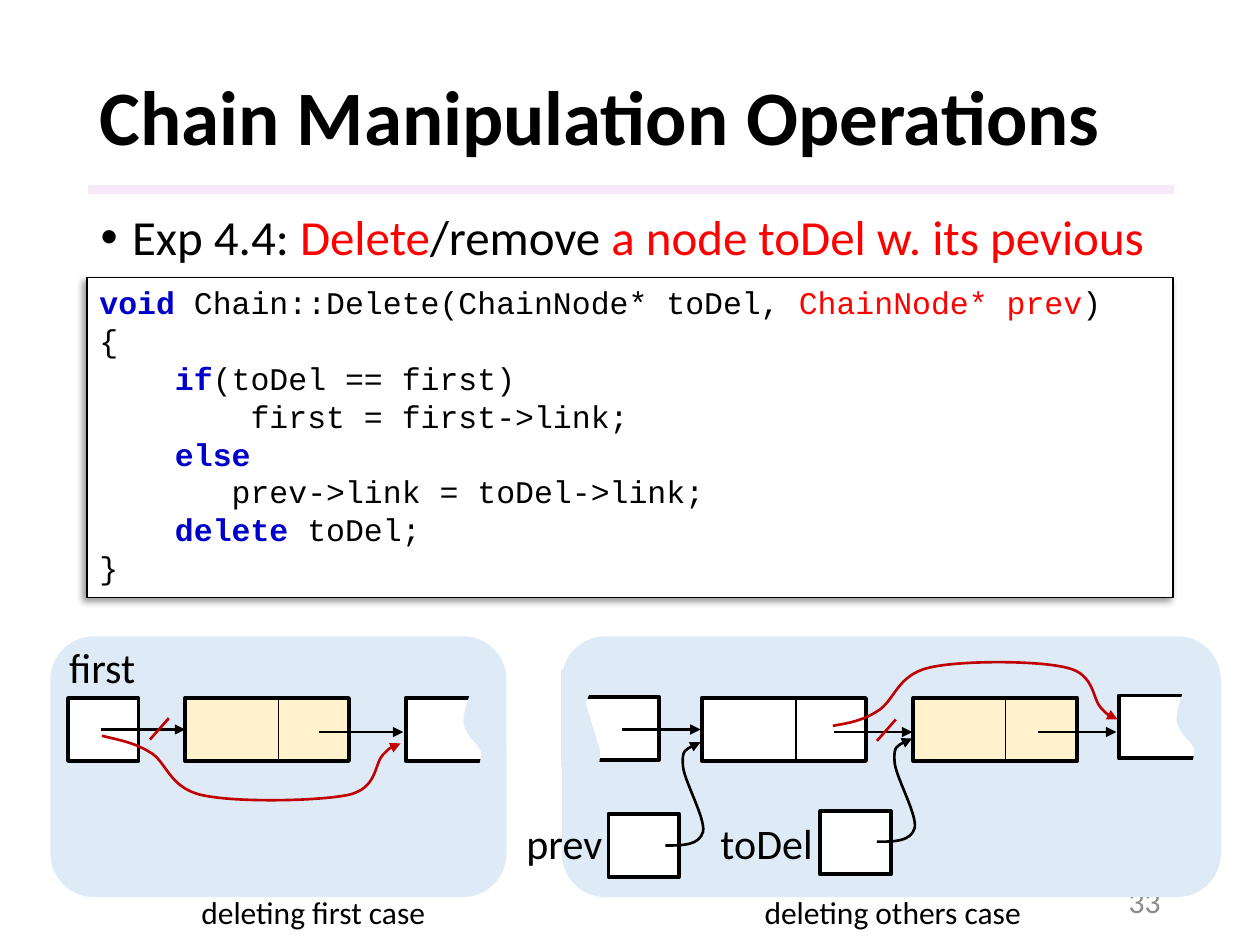
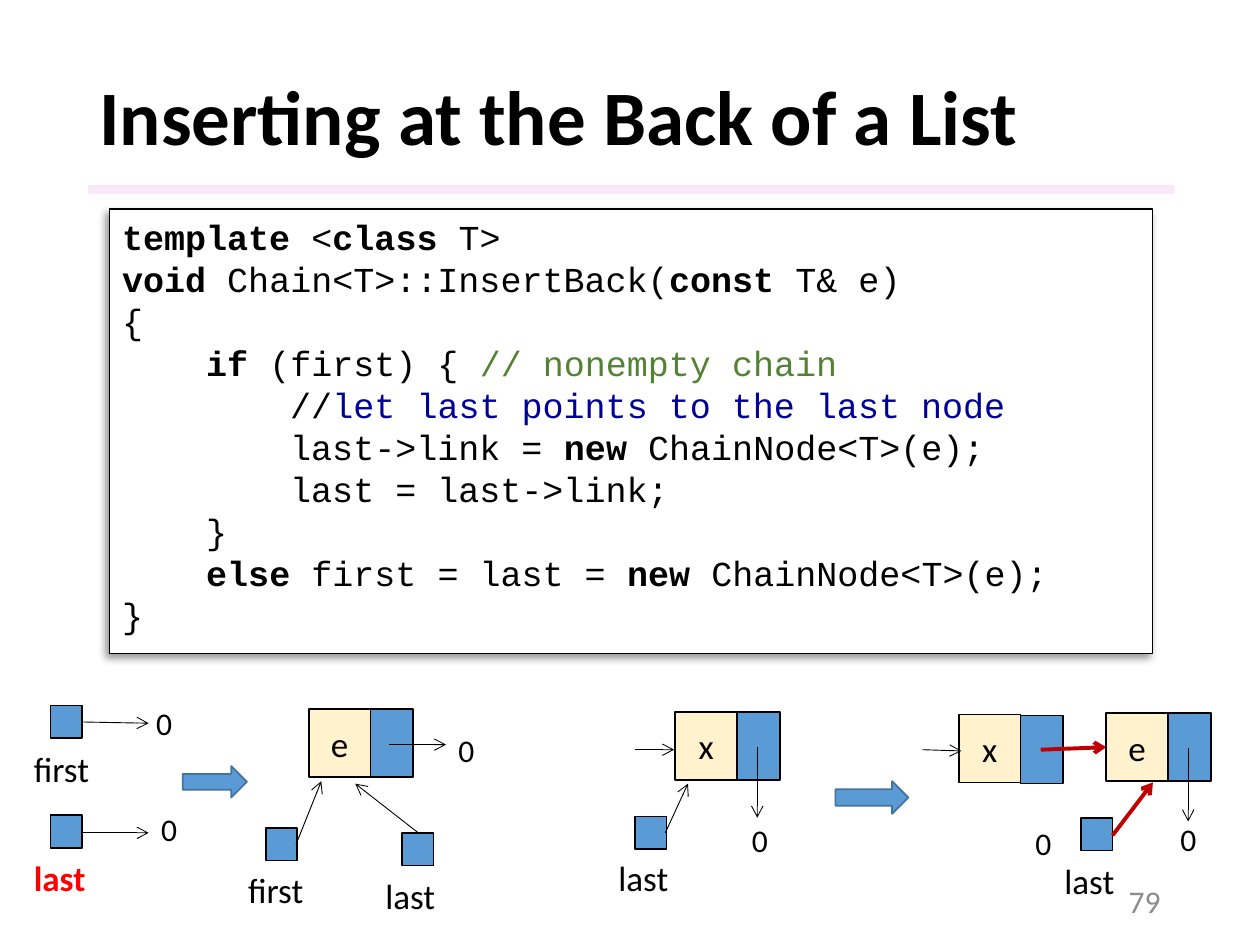
from dataclasses import dataclass

from lxml.etree import SubElement
from pptx import Presentation
from pptx.dml.color import RGBColor
from pptx.enum.shapes import MSO_CONNECTOR, MSO_SHAPE
from pptx.enum.text import MSO_ANCHOR, MSO_AUTO_SIZE, PP_ALIGN
from pptx.oxml.ns import qn
from pptx.util import Inches, Pt


@dataclass(frozen=True)
class Theme:
    black: str = "000000"
    white: str = "FFFFFF"
    band: str = "F3D2F4"
    page: str = "8C8C8C"
    alert: str = "FF0000"
    keyword: str = "0000CC"
    comment: str = "548235"
    note: str = "000099"
    panel: str = "DEEBF7"
    cream: str = "FFF2CC"
    blue: str = "5B9BD5"
    blue_edge: str = "43739E"
    change: str = "C00000"
    font: str = "Calibri"
    mono: str = "Courier New"
    title_size: int = 44
    body_size: int = 28
    name_size: int = 24
    label_size: int = 20
    small_size: int = 18


theme = Theme()


def add_block(slide, preset, place, fill=None, edge=None, weight=1):
    block = slide.shapes.add_shape(preset, *map(Inches, place))
    block.shadow.inherit = False
    if fill:
        block.fill.solid()
        block.fill.fore_color.rgb = RGBColor.from_string(fill)
    else:
        block.fill.background()
    if edge:
        block.line.color.rgb = RGBColor.from_string(edge)
        block.line.width = Pt(weight)
    else:
        block.line.fill.background()
    return block


def write(shape, lines, size, wrap=True, anchor=MSO_ANCHOR.TOP, align=PP_ALIGN.LEFT,
          spacing=None, font=theme.font, fit=MSO_AUTO_SIZE.NONE):
    frame = shape.text_frame
    for name, value in {"word_wrap": wrap, "vertical_anchor": anchor, "auto_size": fit}.items():
        setattr(frame, name, value)
    for index, line in enumerate(lines):
        paragraph = frame.add_paragraph() if index else frame.paragraphs[0]
        for name, value in {"alignment": align, "line_spacing": spacing}.items():
            setattr(paragraph, name, value)
        for words, colour, bold in line:
            run = paragraph.add_run()
            run.text = words
            for name, value in {"name": font, "size": Pt(size), "bold": bold}.items():
                setattr(run.font, name, value)
            run.font.color.rgb = RGBColor.from_string(colour)


deck = Presentation()
deck.slide_width, deck.slide_height = Inches(10), Inches(7.5)

PLAIN = (theme.black, False)
STRONG = (theme.black, True)
KEY = (theme.keyword, True)
RED = (theme.alert, False)
RECT = MSO_SHAPE.RECTANGLE

delete_code = [
    [("void ", *KEY), ("Chain::Delete(ChainNode* toDel, ", *PLAIN),
     ("ChainNode* prev", *RED), (")", *PLAIN)],
    [("{", *PLAIN)],
    [("    ", *PLAIN), ("if", *KEY), ("(toDel == first)", *PLAIN)],
    [("        first = first->link;", *PLAIN)],
    [("    ", *PLAIN), ("else", *KEY)],
    [("       prev->link = toDel->link;", *PLAIN)],
    [("    ", *PLAIN), ("delete ", *KEY), ("toDel;", *PLAIN)],
    [("}", *PLAIN)],
]
insert_code = [
    [("template", *STRONG), (" <", *PLAIN), ("class", *STRONG), (" T>", *PLAIN)],
    [("void", *STRONG), (" Chain<T>::InsertBack(", *PLAIN), ("const", *STRONG),
     (" T& e)", *PLAIN)],
    [("{", *PLAIN)],
    [("    if", *STRONG), (" (first) { ", *PLAIN),
     ("// nonempty chain", theme.comment, False)],
    [("        //", *PLAIN), ("let last points to the last node", theme.note, False)],
    [("        last->link = ", *PLAIN), ("new ", *STRONG), ("ChainNode<T>(e);", *PLAIN)],
    [("        last = last->link;", *PLAIN)],
    [("    }", *PLAIN)],
    [("    ", *PLAIN), ("else", *STRONG), (" first = last = ", *PLAIN), ("new ", *STRONG),
     ("ChainNode<T>(e);", *PLAIN)],
    [("}", *PLAIN)],
]

slides = []
for title, page, code_place, code, code_size in [
    ("Chain Manipulation Operations", "33", (0.69, 2.2, 8.62, 2.54), delete_code,
     theme.small_size),
    ("Inserting at the Back of a List", "79", (0.87, 1.66, 8.28, 3.53), insert_code,
     theme.label_size),
]:
    slide = deck.slides.add_slide(deck.slide_layouts[6])
    slides.append(slide)
    band = add_block(slide, RECT, (0.7, 1.47, 8.62, 0.07), theme.band)
    SubElement(band._element.spPr.find(".//" + qn("a:srgbClr")), qn("a:alpha"), val="50000")
    heading = slide.shapes.add_textbox(*map(Inches, (0.69, 0.4, 8.62, 1.11)))
    write(heading, [[(title, *STRONG)]], theme.title_size, anchor=MSO_ANCHOR.MIDDLE, spacing=0.9)
    number = slide.shapes.add_textbox(*map(Inches, (7.06, 6.95, 2.25, 0.4)))
    write(number, [[(page, theme.page, False)]], theme.small_size,
          anchor=MSO_ANCHOR.MIDDLE, align=PP_ALIGN.RIGHT)
    listing = add_block(slide, RECT, code_place, theme.white, theme.black, 0.75)
    write(listing, code, code_size, font=theme.mono)
    shadow = SubElement(listing._element.spPr.find(qn("a:effectLst")), qn("a:outerShdw"),
                        blurRad=str(Pt(4)), dist=str(Pt(3)), dir=str(135 * 60000),
                        algn="tr", rotWithShape="0")
    tint = SubElement(shadow, qn("a:srgbClr"), val=theme.black)
    SubElement(tint, qn("a:alpha"), val="40000")

deleting, inserting = slides

topic = deleting.shapes.add_textbox(*map(Inches, (0.7, 1.64, 8.62, 0.55)))
bullet_format = topic.text_frame.paragraphs[0]._p.get_or_add_pPr()
for name, value in {"marL": Inches(0.25), "indent": -Inches(0.25)}.items():
    bullet_format.set(name, str(value))
SubElement(bullet_format, qn("a:buFont"), typeface="Arial")
SubElement(bullet_format, qn("a:buChar"), char="•")
write(topic, [[("Exp 4.4: ", *PLAIN), ("Delete", *RED), ("/remove ", *PLAIN),
               ("a node toDel w. its pevious", *RED)]], theme.body_size, spacing=0.9)

for left, width in [(0.4, 3.62), (4.46, 5.23)]:
    add_block(deleting, MSO_SHAPE.ROUNDED_RECTANGLE, (left, 5.05, width, 2.07), theme.panel)

for left, divider, fill in [(1.47, 2.21, theme.cream), (5.57, 6.32, theme.white),
                            (7.25, 7.98, theme.cream)]:
    add_block(deleting, RECT, (left, 5.54, divider - left, 0.5), fill, theme.black)
    add_block(deleting, RECT, (divider, 5.54, 0.56, 0.5), fill, theme.black)
    add_block(deleting, RECT, (left, 5.54, 1.3, 0.5), None, theme.black, 2.25)
for left, top in [(0.54, 5.54), (4.83, 6.46), (6.51, 6.44)]:
    add_block(deleting, RECT, (left, top, 0.56, 0.5), theme.white, theme.black, 2.25)
for left, top in [(3.22, 5.54), (4.48, 5.53), (8.88, 5.52)]:
    for fill, weight in [(theme.white, 1), (None, 2.25)]:
        add_block(deleting, RECT, (left, top, 0.75, 0.5), fill, theme.black, weight)

right_tear = [(3.86, 5.31), (3.73, 5.64), (3.9, 6.2), (4, 6.19), (4, 5.43)]
right_edge = [(3.82, 5.4), (3.77, 5.52), (3.72, 5.64), (3.72, 5.73),
              (3.73, 5.83), (3.85, 5.88), (3.86, 5.97),
              (3.86, 6.06), (3.82, 6.17), (3.78, 6.28)]
left_tear = [(4.61, 6.2), (4.73, 5.87), (4.56, 5.31), (4.46, 5.32), (4.46, 6.08)]
left_edge = [(4.68, 5.39), (4.63, 5.51), (4.58, 5.63), (4.58, 5.72),
             (4.59, 5.82), (4.71, 5.86), (4.72, 5.96),
             (4.73, 6.05), (4.68, 6.16), (4.64, 6.27)]
pointer_curve = [(5.28, 6.71), (5.42, 6.71), (5.55, 6.71), (5.58, 6.6),
                 (5.6, 6.49), (5.42, 6.18), (5.42, 6.07),
                 (5.41, 5.95), (5.49, 5.92), (5.56, 5.89)]
first_bypass = [(0.81, 5.84), (0.93, 5.87), (1.06, 5.89), (1.19, 5.97),
                (1.32, 6.04), (1.34, 6.25), (1.6, 6.31),
                (1.86, 6.37), (2.51, 6.36), (2.76, 6.31),
                (3, 6.26), (2.97, 6.06), (3.04, 5.99),
                (3.11, 5.92), (3.15, 5.91), (3.18, 5.9)]
other_bypass = [(6.61, 5.76), (6.73, 5.74), (6.85, 5.72), (6.97, 5.64),
                (7.1, 5.56), (7.12, 5.36), (7.37, 5.3),
                (7.61, 5.24), (8.24, 5.24), (8.47, 5.3),
                (8.69, 5.35), (8.67, 5.55), (8.74, 5.62),
                (8.81, 5.69), (8.84, 5.7), (8.87, 5.71)]

strokes = []
for tear, edge, dx, dy in [(right_tear, right_edge, 0, 0), (left_tear, left_edge, 0, 0),
                           (right_tear, right_edge, 5.66, -0.02)]:
    corners = [(Inches(x + dx), Inches(y + dy)) for x, y in tear]
    outline = deleting.shapes.build_freeform(*corners[0])
    outline.add_line_segments(corners[1:], close=False)
    mask = outline.convert_to_shape()
    mask.shadow.inherit = False
    mask.fill.solid()
    for paint in (mask.fill.fore_color, mask.line.color):
        paint.rgb = RGBColor.from_string(theme.panel)
    mask.line.width = Pt(1)
    strokes.append((deleting, [(x + dx, y + dy) for x, y in edge], theme.panel, 6, None))

for start, end, y in [(0.8, 1.47, 5.79), (2.53, 3.2, 5.81), (4.94, 5.56, 5.79),
                      (6.62, 7.24, 5.81), (8.24, 8.86, 5.81)]:
    strokes.append((deleting, [(start, y), (end, y)], theme.black, 1.5, "triangle"))
for dx, dy in [(0, 0), (1.68, -0.03)]:
    strokes.append((deleting, [(x + dx, y + dy) for x, y in pointer_curve],
                    theme.black, 1.5, "triangle"))
for bypass in (first_bypass, other_bypass):
    strokes.append((deleting, bypass, theme.change, 1.5, "triangle"))
for cut in ([(1.34, 5.7), (1.19, 5.87)], [(7.11, 5.71), (6.96, 5.88)]):
    strokes.append((deleting, cut, theme.change, 1.5, None))

for left, top, width, height in [(1.45, 6.08, 0.51, 0.25), (6.63, 6.2, 0.58, 0.26)]:
    add_block(inserting, MSO_SHAPE.RIGHT_ARROW, (left, top, width, height),
              theme.blue, theme.blue_edge)
for left, top, link_top, element in [(2.45, 5.63, 5.63, "e"), (5.36, 5.65, 5.65, "x"),
                                     (7.61, 5.67, 5.68, "x"), (8.78, 5.66, 5.66, "e")]:
    data = add_block(inserting, RECT, (left, top, 0.49, 0.54), theme.cream, theme.black)
    write(data, [[(element, *PLAIN)]], theme.label_size,
          anchor=MSO_ANCHOR.MIDDLE, align=PP_ALIGN.CENTER)
    add_block(inserting, RECT, (left + 0.49, link_top, 0.34, 0.54), theme.blue, theme.black)
for left, top in [(0.4, 5.6), (0.4, 6.47), (2.11, 6.57), (3.19, 6.61), (5.04, 6.48), (8.58, 6.49)]:
    add_block(inserting, RECT, (left, top, 0.25, 0.26), theme.blue, theme.black)

for link in [
    [(0.65, 5.73), (1.18, 5.74)], [(0.64, 6.61), (1.18, 6.61)],
    [(3.09, 5.91), (3.54, 5.91)], [(2.35, 6.7), (2.55, 6.2)], [(3.32, 6.61), (2.82, 6.22)],
    [(5.04, 5.95), (5.35, 5.95)], [(6.01, 5.93), (6.01, 6.49)], [(5.28, 6.61), (5.46, 6.22)],
    [(7.32, 5.95), (7.63, 5.96)], [(9.43, 5.94), (9.43, 6.52)],
]:
    strokes.append((inserting, link, theme.black, 0.5, "arrow"))
for new_link in ([(8.26, 5.95), (8.78, 5.93)], [(8.83, 6.63), (9.15, 6.21)]):
    strokes.append((inserting, new_link, theme.change, 2.25, "arrow"))

for slide, points, colour, weight, head in strokes:
    track = [(Inches(x), Inches(y)) for x, y in points]
    if len(track) == 2:
        stroke = slide.shapes.add_connector(MSO_CONNECTOR.STRAIGHT, *track[0], *track[1])
        SubElement(stroke._element.spPr, qn("a:effectLst"))
    else:
        builder = slide.shapes.build_freeform(*track[0])
        builder.add_line_segments(track[1:], close=False)
        stroke = builder.convert_to_shape()
        stroke.shadow.inherit = False
        stroke.fill.background()
        route = stroke._element.spPr.find(".//" + qn("a:path"))
        steps = route.findall(qn("a:lnTo"))
        for first in range(0, len(steps), 3):
            bend = SubElement(route, qn("a:cubicBezTo"))
            for step in steps[first:first + 3]:
                bend.append(step[0])
                route.remove(step)
    stroke.line.color.rgb = RGBColor.from_string(colour)
    stroke.line.width = Pt(weight)
    if head:
        SubElement(stroke._element.spPr.find(qn("a:ln")), qn("a:tailEnd"), type=head)

zeros = [(1.14, 5.54), (1.18, 6.38), (3.54, 5.75), (5.87, 6.47), (8.12, 6.49), (9.27, 6.46)]
labels = [
    (deleting, "first", 0.45, 5.04, 0.73, theme.name_size, PLAIN),
    (deleting, "prev", 4.08, 6.44, 0.81, theme.name_size, PLAIN),
    (deleting, "toDel", 5.62, 6.44, 0.94, theme.name_size, PLAIN),
    (deleting, "deleting first case", 1.5, 7.04, 2, theme.small_size, PLAIN),
    (deleting, "deleting others case", 5.97, 7.04, 2.26, theme.small_size, PLAIN),
    (inserting, "first", 0.17, 5.88, 0.65, theme.label_size, PLAIN),
    (inserting, "last", 0.17, 6.75, 0.61, theme.label_size, (theme.alert, True)),
    (inserting, "first", 1.87, 6.84, 0.65, theme.label_size, PLAIN),
    (inserting, "last", 2.96, 6.89, 0.6, theme.label_size, PLAIN),
    (inserting, "last", 4.81, 6.75, 0.6, theme.label_size, PLAIN),
    (inserting, "last", 8.35, 6.77, 0.6, theme.label_size, PLAIN),
] + [(inserting, "0", left, top, 0.33, theme.small_size, PLAIN) for left, top in zeros]
for slide, words, left, top, width, size, style in labels:
    height = round(size / 60 + 0.1, 2)
    label = slide.shapes.add_textbox(*map(Inches, (left, top, width, height)))
    write(label, [[(words, *style)]], size, wrap=False, fit=MSO_AUTO_SIZE.SHAPE_TO_FIT_TEXT)

deck.save("out.pptx")
